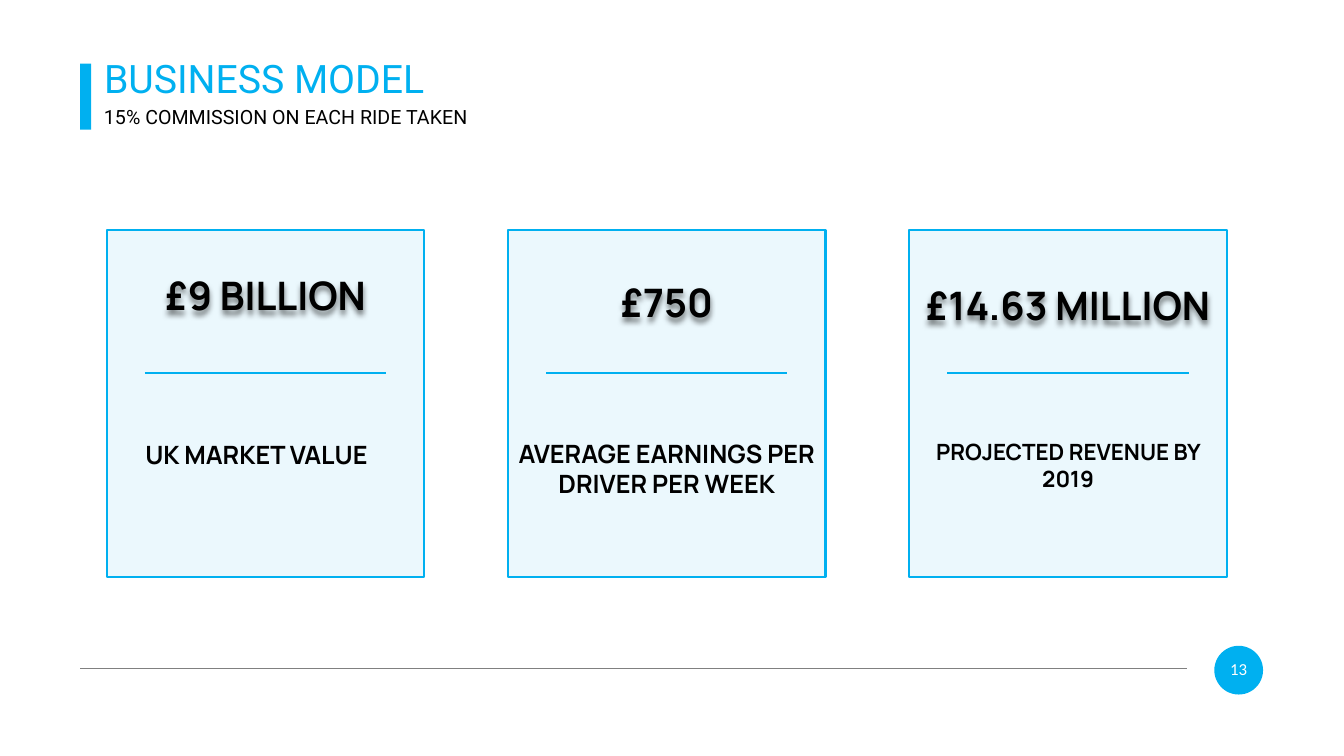
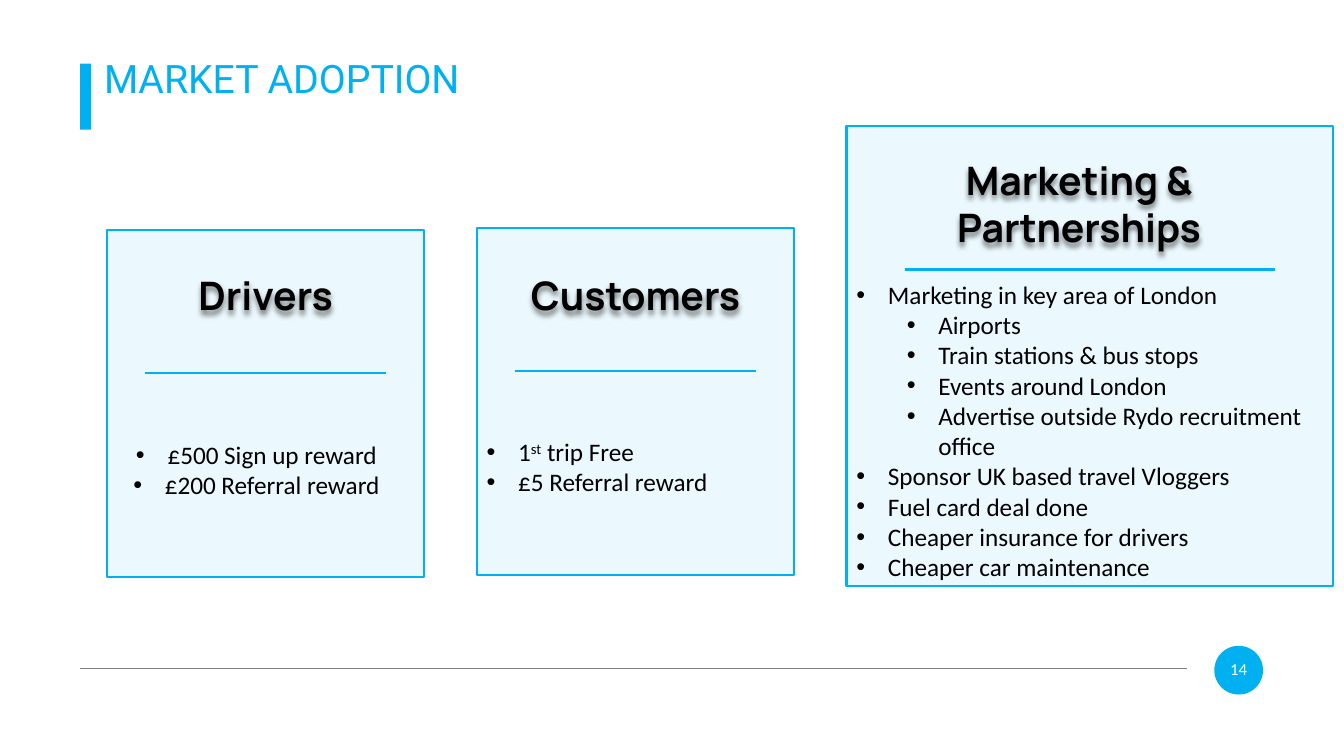
"""Build the business model and market adoption slides."""
from dataclasses import dataclass

import pptx
import pptx.dml.color
import pptx.enum.shapes
import pptx.enum.text
import pptx.oxml.ns
import pptx.oxml.xmlchemy
import pptx.slide
import pptx.shapes.autoshape
import pptx.text.text
import pptx.util
from lxml import etree

Pt = pptx.util.Pt
Align = pptx.enum.text.PP_ALIGN
Preset = pptx.enum.shapes.MSO_SHAPE
qn = pptx.oxml.ns.qn

ACCENT, INK, PAPER, RULE_GREY = "00B0F0", "000000", "FFFFFF", "808080"
TITLE_FONT, CARD_FONT, BODY_FONT = "Roboto", "Manrope", "Calibri"
CARD_LEFT, CARD_TOP, CARD_WIDTH, CARD_HEIGHT = 76.3, 164.3, 226.8, 247.7
RULE_DROP, RULE_INSET = 102.3, 0.12
INDENT, LEVEL_STEP = 22.5, 36


@dataclass(frozen=True)
class Box:
    left: float
    top: float
    width: float
    height: float


@dataclass(frozen=True)
class Style:
    font: str
    size: float
    color: str = INK
    bold: bool = False


@dataclass(frozen=True)
class Words:
    text: str
    raised: bool = False


@dataclass(frozen=True)
class Line:
    runs: tuple[Words, ...]
    level: int = 0
    bulleted: bool = False
    align: Align = Align.LEFT


@dataclass(frozen=True)
class Card:
    frame: Box
    heading: str
    heading_top: float
    lines: tuple[Line, ...]
    body_top: float
    body_style: Style
    heading_shift: float = 0
    body_shift: float = 0


TITLE = Style(TITLE_FONT, 28, ACCENT)
SUBTITLE = Style(TITLE_FONT, 14)
PAGE_NUMBER = Style(BODY_FONT, 12, PAPER)
HEADING = Style(CARD_FONT, 28, bold=True)
CAPTION = Style(CARD_FONT, 18, bold=True)
SMALL_CAPTION = Style(CARD_FONT, 16, bold=True)
LIST = Style(BODY_FONT, 18)


def rgb(color: str) -> pptx.dml.color.RGBColor:
    return pptx.dml.color.RGBColor.from_string(color)


def plain(text: str, align: Align = Align.LEFT) -> Line:
    return Line((Words(text),), align=align)


def bullet(*parts: str | Words, level: int = 0, align: Align = Align.LEFT) -> Line:
    runs = tuple(Words(part) if isinstance(part, str) else part for part in parts)
    return Line(runs, level, True, align)


def card_frame(column: int, pitch: float, top: float = CARD_TOP,
               width: float = CARD_WIDTH, height: float = CARD_HEIGHT) -> Box:
    return Box(CARD_LEFT + column * pitch, top, width, height)


def write(frame: pptx.text.text.TextFrame, lines: tuple[Line, ...], style: Style) -> None:
    frame.word_wrap = True
    for index, line in enumerate(lines):
        paragraph = frame.add_paragraph() if index else frame.paragraphs[0]
        paragraph.alignment = line.align
        paragraph.level = line.level
        if line.bulleted:
            properties = paragraph._p.get_or_add_pPr()
            properties.set("marL", str(Pt(INDENT + line.level * LEVEL_STEP)))
            properties.set("indent", str(-Pt(INDENT)))
            etree.SubElement(properties, qn("a:buFont"), typeface="Arial")
            etree.SubElement(properties, qn("a:buChar"), char="•")
        for words in line.runs:
            run = paragraph.add_run()
            run.text = words.text
            run.font.name = style.font
            run.font.size = Pt(style.size)
            run.font.bold = style.bold
            run.font.color.rgb = rgb(style.color)
            if words.raised:
                run._r.get_or_add_rPr().set("baseline", "30000")


def add_text(slide: pptx.slide.Slide, box: Box, lines: tuple[Line, ...],
             style: Style, shadowed: bool = False) -> None:
    label = slide.shapes.add_textbox(Pt(box.left), Pt(box.top), Pt(box.width), Pt(box.height))
    write(label.text_frame, lines, style)
    label.text_frame.auto_size = pptx.enum.text.MSO_AUTO_SIZE.SHAPE_TO_FIT_TEXT
    if shadowed:
        effects = etree.SubElement(label._element.spPr, qn("a:effectLst"))
        shadow = etree.SubElement(effects, qn("a:outerShdw"), blurRad=str(Pt(4)),
                                  dist=str(Pt(3)), dir="5400000", algn="t", rotWithShape="0")
        black = etree.SubElement(shadow, qn("a:srgbClr"), val=INK)
        etree.SubElement(black, qn("a:alpha"), val="50000")


def add_shape(slide: pptx.slide.Slide, preset: Preset, box: Box,
              opacity: int = 100, outline: float = 0) -> pptx.shapes.autoshape.Shape:
    shape = slide.shapes.add_shape(preset, Pt(box.left), Pt(box.top), Pt(box.width), Pt(box.height))
    shape.shadow.inherit = False
    shape.fill.solid()
    shape.fill.fore_color.rgb = rgb(ACCENT)
    if opacity < 100:
        color = shape._element.spPr.find(f"{qn('a:solidFill')}/{qn('a:srgbClr')}")
        etree.SubElement(color, qn("a:alpha"), val=str(opacity * 1000))
    if outline:
        shape.line.color.rgb = rgb(ACCENT)
        shape.line.width = Pt(outline)
    else:
        shape.line.fill.background()
    return shape


def add_rule(slide: pptx.slide.Slide, left: float, right: float, top: float,
             color: str, width: float) -> None:
    rule = slide.shapes.add_connector(pptx.enum.shapes.MSO_CONNECTOR.STRAIGHT,
                                      Pt(left), Pt(top), Pt(right), Pt(top))
    rule.line.color.rgb = rgb(color)
    rule.line.width = Pt(width)
    etree.SubElement(rule._element.spPr, qn("a:effectLst"))


def add_card(slide: pptx.slide.Slide, card: Card) -> None:
    frame = card.frame
    add_shape(slide, Preset.RECTANGLE, frame, opacity=8, outline=1.5)
    inset = frame.width * RULE_INSET
    add_rule(slide, frame.left + inset, frame.left + frame.width - inset,
             frame.top + RULE_DROP, ACCENT, 1.5)
    add_text(slide, Box(frame.left + card.body_shift, card.body_top, frame.width, 50),
             card.lines, card.body_style)
    add_text(slide, Box(frame.left + card.heading_shift, card.heading_top, CARD_WIDTH, 41),
             (plain(card.heading, Align.CENTER),), HEADING, shadowed=True)


def add_slide(deck: pptx.presentation.Presentation, title: str, number: int,
              cards: tuple[Card, ...], subtitle: str = "") -> None:
    slide = deck.slides.add_slide(deck.slide_layouts[6])
    add_shape(slide, Preset.RECTANGLE, Box(57.2, 45.4, 7.9, 47.2))
    add_text(slide, Box(67.2, 35.5, 459, 41), (plain(title),), TITLE)
    if subtitle:
        add_text(slide, Box(67.2, 71.5, 407, 24.5), (plain(subtitle),), SUBTITLE)
    add_rule(slide, 57.2, 848, 477.4, RULE_GREY, 0.5)
    badge = add_shape(slide, Preset.OVAL, Box(867.4, 461.3, 34.8, 34.8))
    frame = badge.text_frame
    frame.margin_left = frame.margin_right = frame.margin_top = 0
    frame.margin_bottom = Pt(2)
    frame.vertical_anchor = pptx.enum.text.MSO_ANCHOR.MIDDLE
    write(frame, (plain(str(number), Align.CENTER),), PAGE_NUMBER)
    for card in cards:
        add_card(slide, card)


def main() -> None:
    deck = pptx.Presentation()
    deck.slide_width, deck.slide_height = Pt(960), Pt(540)

    model_pitch = 286.6
    add_slide(deck, "BUSINESS MODEL", 13, (
        Card(card_frame(0, model_pitch), "£9 BILLION", 190,
             (plain("UK MARKET VALUE", Align.CENTER),), 310.3, CAPTION, body_shift=-6.5),
        Card(card_frame(1, model_pitch), "£750", 195,
             (plain("AVERAGE EARNINGS PER DRIVER PER WEEK", Align.CENTER),), 309.6, CAPTION),
        Card(card_frame(2, model_pitch), "£14.63 MILLION", 197.3,
             (plain("PROJECTED REVENUE BY 2019", Align.CENTER),), 309.6, SMALL_CAPTION),
    ), "15% COMMISSION ON EACH RIDE TAKEN")

    adoption_pitch = 264.2
    places = ("Airports", "Train stations & bus stops", "Events around London",
              "Advertise outside Rydo recruitment office")
    partnerships = ("Sponsor UK based travel Vloggers", "Fuel card deal done",
                    "Cheaper insurance for drivers", "Cheaper car maintenance")
    add_slide(deck, "MARKET ADOPTION", 14, (
        Card(card_frame(0, adoption_pitch), "Drivers", 190,
             (bullet("£500 Sign up reward", align=Align.CENTER),
              bullet("£200 Referral reward", align=Align.CENTER)),
             310.3, LIST, body_shift=-6.5),
        Card(card_frame(1, adoption_pitch, top=162.8), "Customers", 190,
             (bullet("1", Words("st", raised=True), " trip Free"),
              bullet("£5 Referral reward")), 308.2, LIST),
        Card(card_frame(2, adoption_pitch, 90.2, 347.8, 328.3), "Marketing & Partnerships", 108,
             (bullet("Marketing in key area of London"),
              *(bullet(place, level=1) for place in places),
              *(bullet(deal) for deal in partnerships)),
             196, LIST, heading_shift=52.6),
    ))
    deck.save("out.pptx")


if __name__ == "__main__":
    main()
